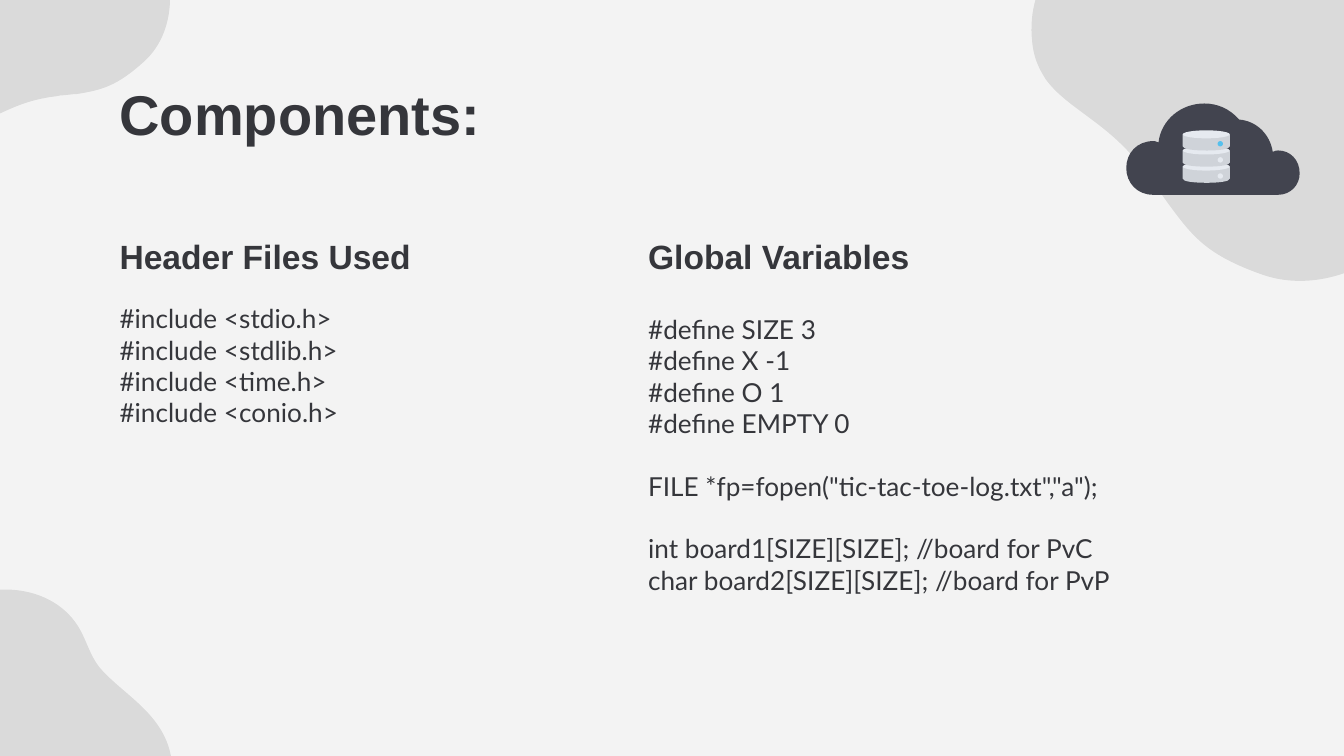
import math

from lxml import etree
from pptx import Presentation
from pptx import util as u
from pptx.dml.color import RGBColor
from pptx.enum import shapes, text
from pptx.oxml.ns import qn

UNIT = u.Cm(2.54)  # one unit of the outline coordinates
INK = "35363B"

# Outlines: a start point, then (x, y) lines or (x1, y1, x2, y2, x, y) curves.
BOTTOM_LEFT_BLOB = [
    (1.29, 5.76), (1.29, 5.71, 1.28, 5.67, 1.27, 5.62),
    (1.21, 5.32, 0.94, 5.18, 0.77, 5), (0.67, 4.9, 0.65, 4.77, 0.58, 4.66),
    (0.36, 4.31, -0.19, 4.32, -0.42, 4.56),
    (-0.54, 4.68, -0.61, 4.83, -0.61, 5.02),
    (-0.62, 5.13, -0.6, 5.27, -0.56, 5.41),
    (-0.46, 5.78, -0.4, 6.05, -0.04, 6.3),
    (0.32, 6.56, 0.82, 6.39, 1.12, 6.13),
    (1.12, 6.13, 1.28, 5.98, 1.29, 5.76),
]
TOP_LEFT_BLOB = [
    (0.18, -0.98), (0.06, -0.96, -0.09, -0.92, -0.22, -0.81),
    (-0.54, -0.57, -0.66, -0.16, -0.76, 0.17),
    (-0.87, 0.5, -0.74, 0.81, -0.46, 0.92),
    (-0.39, 0.94, -0.33, 0.95, -0.27, 0.94),
    (-0.09, 0.92, 0.06, 0.78, 0.33, 0.73),
    (0.37, 0.72, 0.41, 0.72, 0.45, 0.71), (0.49, 0.71, 0.53, 0.7, 0.57, 0.7),
    (0.76, 0.67, 0.87, 0.64, 1.07, 0.46),
    (1.34, 0.22, 1.33, -0.27, 1.04, -0.6),
    (0.76, -0.92, 0.45, -0.97, 0.45, -0.97),
    (0.45, -0.97, 0.34, -1, 0.18, -0.98),
]
TOP_RIGHT_BLOB = [
    (10.68, -0.17), (10.57, -0.33, 10.41, -0.49, 10.17, -0.6),
    (9.62, -0.85, 8.98, -0.72, 8.46, -0.62),
    (7.94, -0.53, 7.63, -0.14, 7.68, 0.31),
    (7.69, 0.43, 7.73, 0.51, 7.78, 0.59), (7.94, 0.81, 8.24, 0.91, 8.49, 1.24),
    (8.53, 1.29, 8.57, 1.34, 8.6, 1.39), (8.64, 1.44, 8.68, 1.5, 8.71, 1.54),
    (8.88, 1.77, 8.99, 1.9, 9.38, 2.04), (9.9, 2.23, 10.55, 1.87, 10.79, 1.25),
    (11.02, 0.63, 10.87, 0.19, 10.87, 0.19),
    (10.87, 0.19, 10.82, 0.02, 10.68, -0.17),
]
# Outline, frame before turning (left, top, width, height), turn in degrees.
BLOBS = [
    (BOTTOM_LEFT_BLOB, (-0.79, 4.47, 2.25, 1.93), 92.5),
    (TOP_LEFT_BLOB, (-0.93, -0.97, 2.28, 1.84), 352.3),
    (TOP_RIGHT_BLOB, (7.72, -0.88, 3.47, 2.8), 54.3),
]
CLOUD = [
    (9.51, 1.12), (9.5, 1.12, 9.49, 1.12, 9.47, 1.13),
    (9.45, 1, 9.35, 0.9, 9.22, 0.89), (9.15, 0.81, 9.06, 0.77, 8.96, 0.77),
    (8.79, 0.77, 8.64, 0.89, 8.62, 1.06), (8.6, 1.05, 8.59, 1.05, 8.58, 1.05),
    (8.46, 1.05, 8.38, 1.14, 8.38, 1.25), (8.38, 1.36, 8.46, 1.45, 8.58, 1.45),
    (9.51, 1.45), (9.6, 1.45, 9.67, 1.38, 9.67, 1.29),
    (9.67, 1.19, 9.6, 1.12, 9.51, 1.12),
]
HEADERS = ["#include <stdio.h>", "#include <stdlib.h>",
           "#include <time.h>", "#include <conio.h>"]
# Each inner list is a block set off by one line of space.
GLOBALS = [
    ["#define SIZE 3", "#define X -1", "#define O 1", "#define EMPTY 0"],
    ['FILE *fp=fopen("tic-tac-toe-log.txt","a");'],
    ["int board1[SIZE][SIZE]; //board for PvC",
     "char board2[SIZE][SIZE]; //board for PvP"],
]


def rgb(color):
    return RGBColor.from_string(color)


def paint(sp, color, opacity=None):
    sp.shadow.inherit = False
    sp.line.fill.background()
    sp.fill.solid()
    sp.fill.fore_color.rgb = rgb(color)
    if opacity is not None:
        clr = sp.fill._xPr.find(qn("a:solidFill"))[0]
        etree.SubElement(clr, qn("a:alpha")).set("val", str(opacity * 1000))


def turn_back(x, y, frame, angle):
    """Turn a point against the angle, about the centre of the frame."""
    left, top, width, height = frame
    cx, cy = left + width / 2, top + height / 2
    cos, sin = math.cos(math.radians(angle)), math.sin(math.radians(angle))
    return (cx + (x - cx) * cos + (y - cy) * sin,
            cy - (x - cx) * sin + (y - cy) * cos)


def add_outline(tree, outline, color, opacity=None, frame=None, angle=0):
    if frame is None:
        xs, ys = zip(*(seg[-2:] for seg in outline))
        frame = (min(xs), min(ys), max(xs) - min(xs), max(ys) - min(ys))
    box = [round(v * UNIT) for v in frame]
    segments = []
    for seg in outline:
        pairs = zip(seg[::2], seg[1::2])
        turned = [turn_back(x, y, frame, angle) for x, y in pairs]
        segments.append([(round(x * UNIT), round(y * UNIT)) for x, y in turned])
    builder = tree.build_freeform(*segments[0][0])
    builder.add_line_segments([seg[-1] for seg in segments[1:]], close=True)
    sp = builder.convert_to_shape()
    sp.left, sp.top, sp.width, sp.height = box
    sp.rotation = angle
    route = next(sp._element.iter(qn("a:path")))
    route.set("w", str(box[2]))
    route.set("h", str(box[3]))
    for node, seg in zip(list(route), segments):
        if len(seg) == 3:
            curve = etree.Element(qn("a:cubicBezTo"))
            route.replace(node, curve)
            node = curve
        for pt in list(node):
            node.remove(pt)
        for x, y in seg:
            pt = etree.SubElement(node, qn("a:pt"))
            pt.set("x", str(x - box[0]))
            pt.set("y", str(y - box[1]))
    paint(sp, color, opacity)


def add_oval(tree, cx, cy, w, h, color):
    box = [round(v * UNIT) for v in (cx - w / 2, cy - h / 2, w, h)]
    paint(tree.add_shape(shapes.MSO_SHAPE.OVAL, *box), color)


def add_disk(tree, y):
    """Draw one tier of the database, with its lid centred at height y."""
    left, mid, right = 8.8, 8.98, 9.15
    body = [(left, y), (left, y + 0.09),
            (left, y + 0.11, 8.88, y + 0.12, mid, y + 0.12),
            (9.07, y + 0.12, right, y + 0.11, right, y + 0.09),
            (right, y), (left, y)]
    add_outline(tree, body, "CFD3D9")
    add_oval(tree, (left + right) / 2, y, right - left, 0.06, "E6EAF0")


def add_text(slide, left, top, width, height, blocks, size, font="Lato",
             bold=False, anchor=text.MSO_ANCHOR.TOP):
    sp = slide.shapes.add_textbox(*map(u.Cm, (left, top, width, height)))
    tf = sp.text_frame
    tf.word_wrap = True
    tf.vertical_anchor = anchor
    tf.margin_left = tf.margin_right = u.Cm(0.25)
    tf.margin_top = tf.margin_bottom = u.Cm(0.25)
    tf.text = "\n".join(line for block in blocks for line in block)
    for p in tf.paragraphs:
        for r in p.runs:
            r.font.name, r.font.size, r.font.bold = font, u.Pt(size), bold
            r.font.color.rgb = rgb(INK)
    first = 0
    for block in blocks[:-1]:
        first += len(block)
        tf.paragraphs[first].space_before = u.Pt(size * 1.2)


def add_heading(slide, left, top, width, title, size, anchor):
    add_text(slide, left, top, width, 1.6, [[title]], size, "Arial", True, anchor)


def add_cloud_icon(slide):
    tree = slide.shapes.add_group_shape().shapes
    add_outline(tree, CLOUD, "42444F")
    for y in (1.24, 1.12, 1):
        add_disk(tree, y)
    for y, light in ((1.07, "55C0ED"), (1.19, "E6EAF0"), (1.31, "E6EAF0")):
        add_oval(tree, 9.08, y, 0.04, 0.04, light)


def main():
    prs = Presentation()
    prs.slide_width, prs.slide_height = u.Cm(25.4), u.Cm(14.29)
    slide = prs.slides.add_slide(prs.slide_layouts[6])
    slide.background.fill.solid()
    slide.background.fill.fore_color.rgb = rgb("F3F3F3")

    for outline, frame, angle in BLOBS:
        add_outline(slide.shapes, outline, "000000", 10, frame, angle)

    left, right, column = 2.01, 12, 9.4
    top, bottom = text.MSO_ANCHOR.TOP, text.MSO_ANCHOR.BOTTOM
    add_heading(slide, right, 3.87, column, "Global Variables", 18, bottom)
    add_heading(slide, left, 1.25, 21.4, "Components:", 30, top)
    add_text(slide, right, 5.67, column, 6.35, GLOBALS, 14)
    add_text(slide, left, 5.47, column, 3.15, [HEADERS], 14)
    add_heading(slide, left, 3.87, column, "Header Files Used", 18, bottom)
    add_cloud_icon(slide)
    prs.save("out.pptx")


if __name__ == "__main__":
    main()
